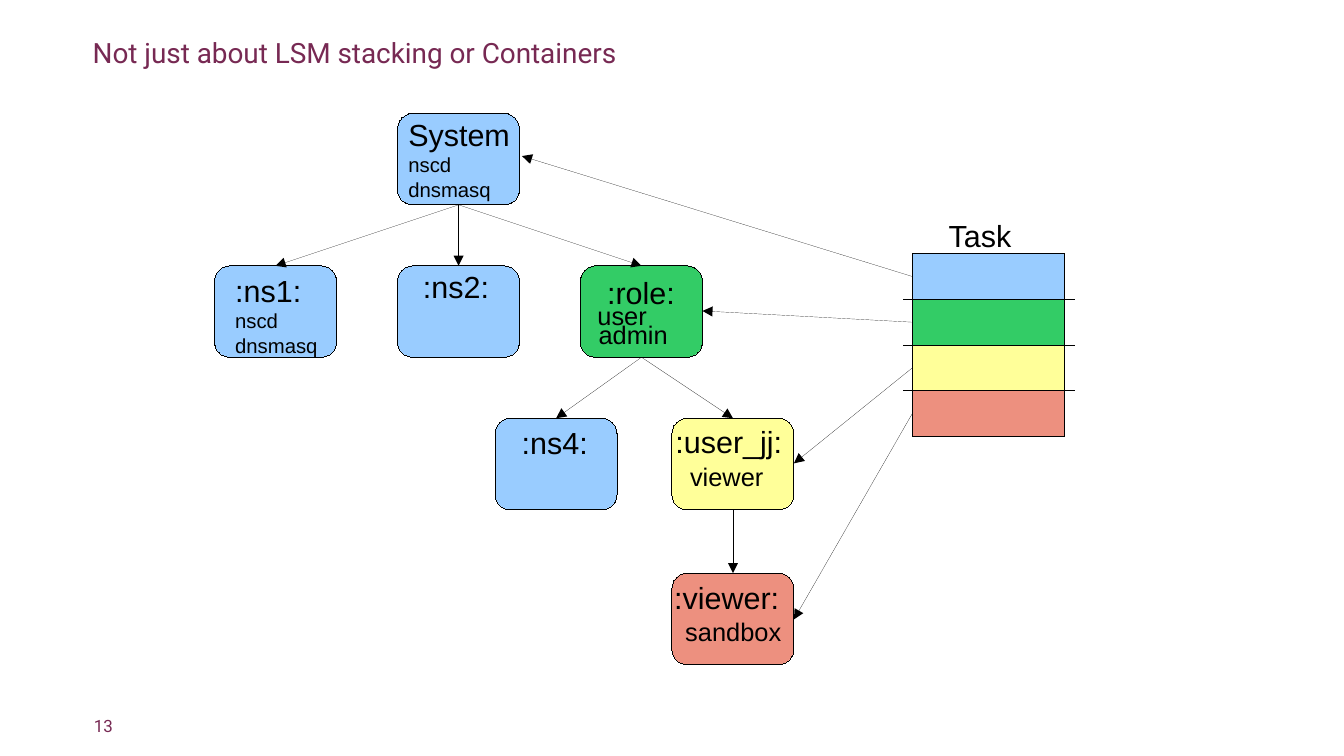
from dataclasses import dataclass

from lxml import etree
from pptx import Presentation
from pptx.dml.color import RGBColor
from pptx.enum.shapes import MSO_CONNECTOR, MSO_SHAPE
from pptx.enum.text import MSO_ANCHOR
from pptx.oxml.ns import qn
from pptx.util import Inches, Pt

ROUNDED = MSO_SHAPE.ROUNDED_RECTANGLE
RECTANGLE = MSO_SHAPE.RECTANGLE
STRAIGHT = MSO_CONNECTOR.STRAIGHT
MIDDLE = MSO_ANCHOR.MIDDLE


@dataclass(frozen=True)
class Theme:
    brand: str = "772953"
    ink: str = "000000"
    blue: str = "99CCFF"
    green: str = "33CC66"
    yellow: str = "FFFF99"
    red: str = "DC2300"
    red_alpha: int = 50000
    heading_font: str = "Roboto"
    body_font: str = "Arial"
    title: float = 16.5
    page: float = 10
    name: float = 18
    profile: float = 15
    detail: float = 12
    hairline: float = 0.01


theme = Theme()

prs = Presentation()
prs.slide_width, prs.slide_height = Inches(11.02), Inches(6.2)
slide = prs.slides.add_slide(prs.slide_layouts[6])


def add_text(area, lines, font, color):
    """Add a text box; lines holds (text, size) pairs."""
    box = slide.shapes.add_textbox(*map(Inches, area))
    frame = box.text_frame
    frame.word_wrap = True
    frame.margin_right = 0
    frame.text = "\n".join(text for text, _ in lines)
    for paragraph, (_, size) in zip(frame.paragraphs, lines):
        run_font = paragraph.runs[0].font
        run_font.name, run_font.size = font, Pt(size)
        run_font.color.rgb = RGBColor.from_string(color)
    return frame


def set_hairline(line):
    line.color.rgb = RGBColor.from_string(theme.ink)
    line.width = Pt(theme.hairline)


# Title and page number
for area, text, size in [
    ((0.76, 0.32, 8.45, 0.21), "Not just about LSM stacking or Containers", theme.title),
    ((0.77, 5.86, 5.37, 0.19), "13", theme.page),
]:
    frame = add_text(area, [(text, size)], theme.heading_font, theme.brand)
    frame.margin_left = frame.margin_top = frame.margin_bottom = 0
    frame.vertical_anchor = MIDDLE

# Namespace tree and task stack
NODE_W, NODE_H = 1, 0.75
STACK_X, STACK_Y, STACK_W, CELL_H = 7.48, 2.08, 1.25, 0.375
nodes = {
    "system": (3.26, 0.93, theme.blue),
    "ns1": (1.76, 2.18, theme.blue),
    "ns2": (3.26, 2.18, theme.blue),
    "role": (4.76, 2.18, theme.green),
    "ns4": (4.06, 3.43, theme.blue),
    "user": (5.51, 3.43, theme.yellow),
    "viewer": (5.51, 4.7, theme.red),
}
stack_colors = [theme.blue, theme.green, theme.yellow, theme.red]
boxes = [(ROUNDED, x, y, NODE_W, NODE_H, color) for x, y, color in nodes.values()]
boxes += [
    (RECTANGLE, STACK_X, STACK_Y + row * CELL_H, STACK_W, CELL_H, color)
    for row, color in enumerate(stack_colors)
]
for kind, x, y, width, height, color in boxes:
    box = slide.shapes.add_shape(kind, Inches(x), Inches(y), Inches(width), Inches(height))
    box.shadow.inherit = False
    box.fill.solid()
    box.fill.fore_color.rgb = RGBColor.from_string(color)
    set_hairline(box.line)
    if color == theme.red:
        tint = box.fill._xPr.find(".//" + qn("a:srgbClr"))
        etree.SubElement(tint, qn("a:alpha"), val=str(theme.red_alpha))

# Lines: parent to child, task cell to node, and stack dividers
lines = []
for parent, child in [
    ("system", "ns1"), ("system", "ns2"), ("system", "role"),
    ("role", "ns4"), ("role", "user"), ("user", "viewer"),
]:
    (parent_x, parent_y, _), (child_x, child_y, _) = nodes[parent], nodes[child]
    lines.append((parent_x + NODE_W / 2, parent_y + NODE_H, child_x + NODE_W / 2, child_y, True))
for row, (x, y) in enumerate([(4.28, 1.28), (5.76, 2.55), (6.51, 3.8), (6.51, 5.08)]):
    lines.append((STACK_X, STACK_Y + (row + 0.5) * CELL_H, x, y, True))
for row in range(1, len(stack_colors)):
    y = STACK_Y + row * CELL_H
    lines.append((7.41, y, 8.81, y, False))

for *ends, has_arrow in lines:
    connector = slide.shapes.add_connector(STRAIGHT, *map(Inches, ends))
    set_hairline(connector.line)
    if has_arrow:
        etree.SubElement(connector.line._get_or_add_ln(), qn("a:tailEnd"), type="triangle")
    etree.SubElement(connector._element.spPr, qn("a:effectLst"))

# Labels
daemons = [("nscd", theme.detail), ("dnsmasq", theme.detail)]
labels = [
    ((3.25, 0.9, 1.03, 0.75), [("System", theme.name), *daemons]),
    ((1.83, 2.18, 0.88, 0.75), [(":ns1:", theme.name), *daemons]),
    ((3.37, 2.15, 0.74, 0.38), [(":ns2:", theme.name)]),
    ((4.18, 3.43, 0.74, 0.38), [(":ns4:", theme.name)]),
    ((4.88, 2.2, 0.75, 0.38), [(":role:", theme.name)]),
    ((4.8, 2.41, 0.61, 0.33), [("user", theme.profile)]),
    ((4.81, 2.57, 0.77, 0.33), [("admin", theme.profile)]),
    ((5.44, 3.42, 1.07, 0.38), [(":user_jj:", theme.name)]),
    ((5.56, 3.73, 0.9, 0.33), [("viewer", theme.profile)]),
    ((5.43, 4.7, 1.17, 0.38), [(":viewer:", theme.name)]),
    ((5.52, 5, 0.99, 0.33), [("sandbox", theme.profile)]),
    ((7.68, 1.73, 0.71, 0.38), [("Task", theme.name)]),
]
for area, text_lines in labels:
    add_text(area, text_lines, theme.body_font, theme.ink)

prs.save("out.pptx")
